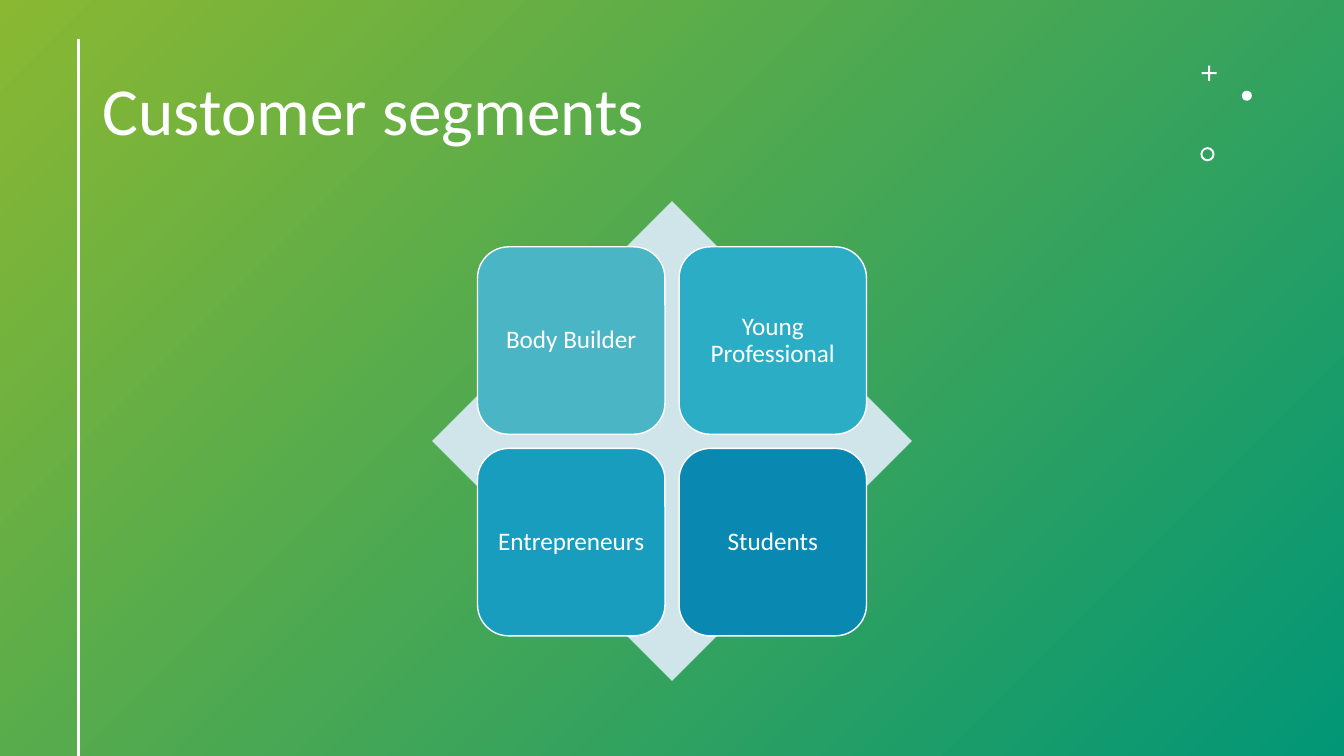
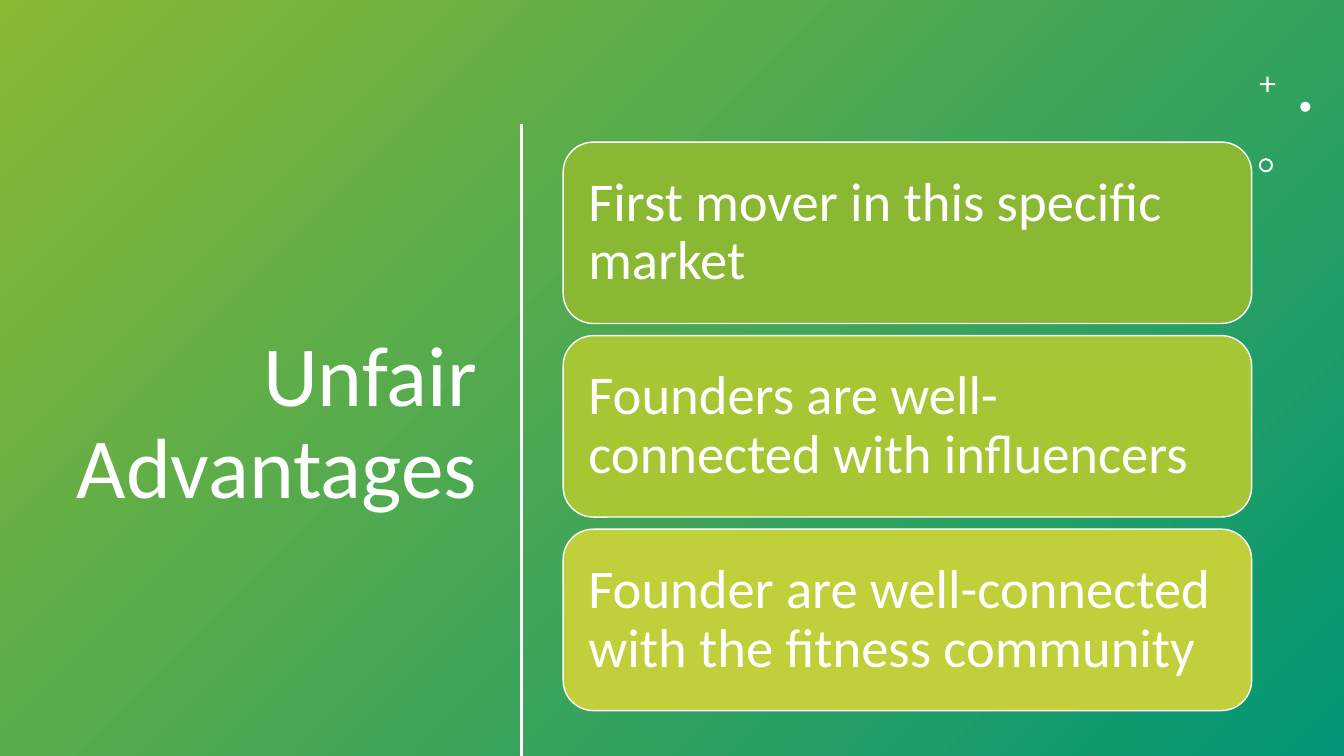
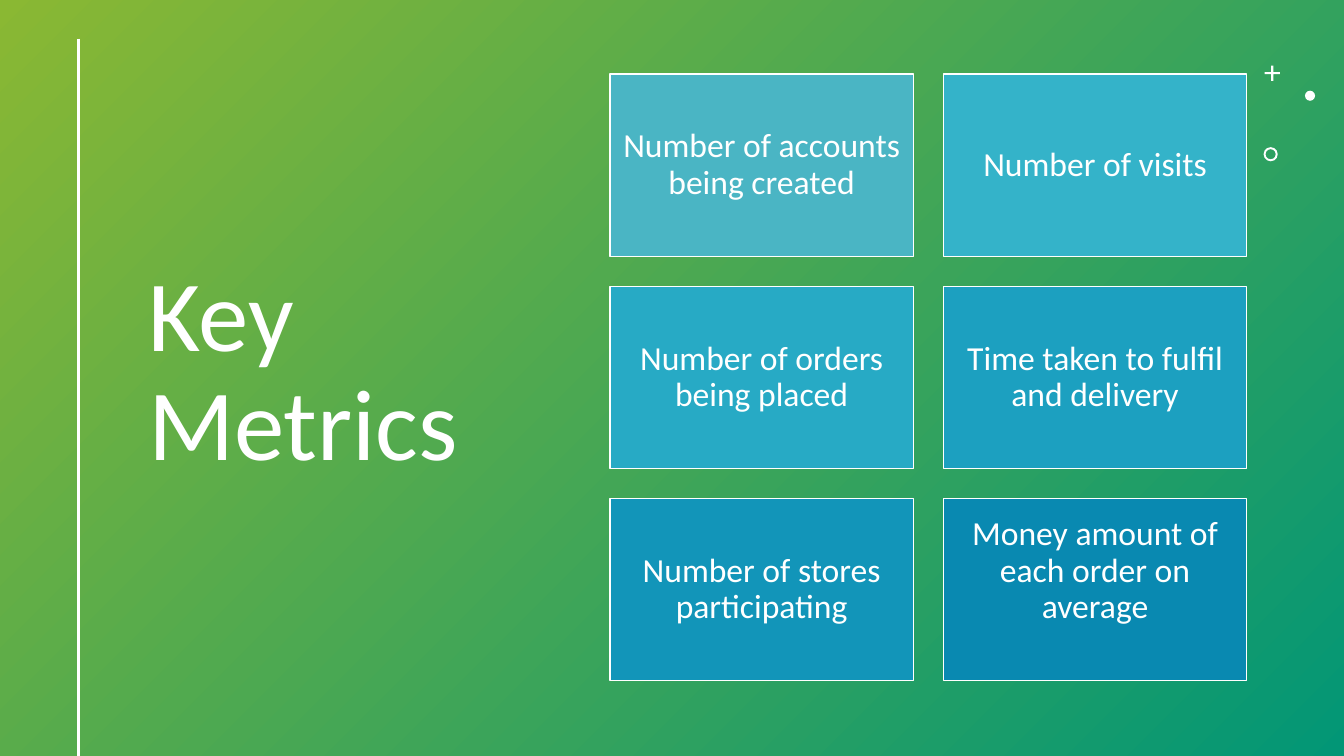
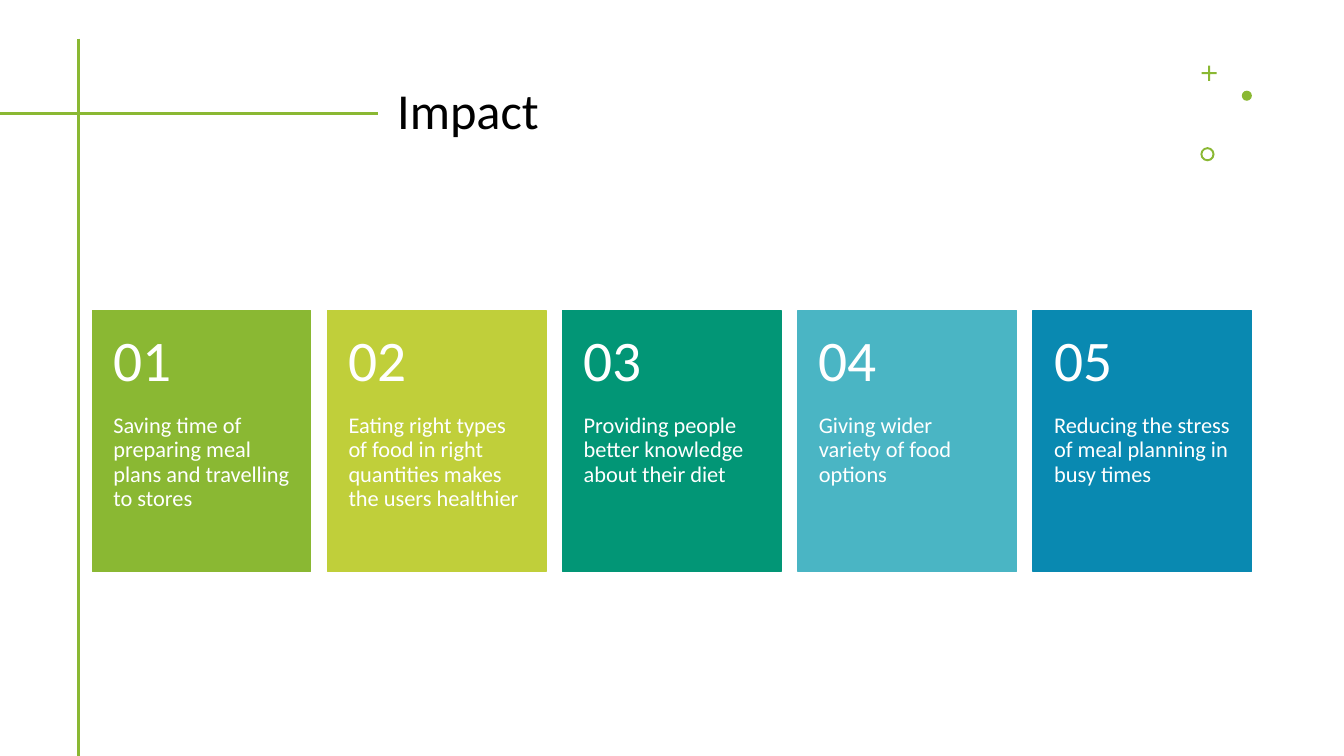
from lxml.etree import SubElement
from pptx import Presentation
from pptx.dml.color import RGBColor
from pptx.enum.shapes import MSO_CONNECTOR, MSO_SHAPE
from pptx.enum.text import MSO_ANCHOR, MSO_AUTO_SIZE, PP_ALIGN
from pptx.oxml.ns import qn
from pptx.util import Inches, Pt

WHITE = RGBColor(0xFF, 0xFF, 0xFF)
BLACK = RGBColor(0x00, 0x00, 0x00)
GREEN = RGBColor(0x8A, 0xB8, 0x33)
GRASS = RGBColor(0xA6, 0xC6, 0x34)
LIME = RGBColor(0xC0, 0xCF, 0x3A)
TEAL = RGBColor(0x02, 0x96, 0x76)
MIST = RGBColor(0xD0, 0xE5, 0xEA)
# Blues from light to dark
AQUA = RGBColor(0x4A, 0xB5, 0xC4)
SKY = RGBColor(0x34, 0xB3, 0xC9)
CYAN = RGBColor(0x2C, 0xAD, 0xC6)
LAGOON = RGBColor(0x27, 0xAA, 0xC5)
POOL = RGBColor(0x1C, 0xA0, 0xC0)
LAKE = RGBColor(0x18, 0x9D, 0xBE)
SEA = RGBColor(0x12, 0x95, 0xB9)
OCEAN = RGBColor(0x09, 0x89, 0xB1)

FONT = "Calibri"
ASPECT = 16 / 9  # turns a share of the width into the same length down the slide
TITLE_ONLY = 5


class Deck:
    """Style and current slide; lengths are percent of the slide's width or height."""

    def __init__(self):
        self.prs = Presentation()
        self.prs.slide_width, self.prs.slide_height = Inches(13.333), Inches(7.5)
        self.s = None
        self.accent = WHITE

    def x(self, share):
        return round(self.prs.slide_width * share / 100)

    def y(self, share):
        return round(self.prs.slide_height * share / 100)

    def box(self, left, top, width, height):
        return self.x(left), self.y(top), self.x(width), self.y(height)

    def slide(self, gradient=True):
        self.s = self.prs.slides.add_slide(self.prs.slide_layouts[TITLE_ONLY])
        self.accent = WHITE if gradient else GREEN
        fill = self.s.background.fill
        if not gradient:
            fill.solid()
            fill.fore_color.rgb = WHITE
            return
        fill.gradient()
        fill.gradient_angle = 315
        for stop, position, colour in zip(fill.gradient_stops, (0, 1), (GREEN, TEAL)):
            stop.position = position
            stop.color.rgb = colour

    def set_text(self, p, text, size, colour=WHITE, align=PP_ALIGN.LEFT):
        p.text = text
        p.alignment = align
        p.line_spacing = 0.9
        for r in p.runs:
            r.font.name, r.font.size, r.font.color.rgb = FONT, Pt(size), colour

    def title(self, text, size, left, top, width, height,
              colour=WHITE, align=PP_ALIGN.LEFT):
        sp = self.s.shapes.title
        sp.left, sp.top, sp.width, sp.height = self.box(left, top, width, height)
        tf = sp.text_frame
        tf.auto_size, tf.word_wrap = MSO_AUTO_SIZE.NONE, True
        tf.vertical_anchor = MSO_ANCHOR.MIDDLE
        self.set_text(tf.paragraphs[0], text, size, colour, align)

    def rule(self, x1, y1, x2, y2):
        line = self.s.shapes.add_connector(
            MSO_CONNECTOR.STRAIGHT, self.x(x1), self.y(y1), self.x(x2), self.y(y2))
        line.line.color.rgb, line.line.width = self.accent, Pt(2)
        SubElement(line._element.spPr, qn("a:effectLst"))

    def side_rule(self, left=5.85, top=5.1):
        self.rule(left, top, left, 100)

    def shape(self, kind, left, top, width, height, fill, outline=None):
        sp = self.s.shapes.add_shape(kind, *self.box(left, top, width, height))
        sp.shadow.inherit = False
        sp.fill.solid()
        sp.fill.fore_color.rgb = fill
        if outline is None:
            sp.line.fill.background()
        else:
            sp.line.color.rgb, sp.line.width = outline, Pt(1)
        return sp

    def ornament(self, left, top=8.67):
        """Plus, dot and ring in the upper right corner."""
        for kind, dx, dy, size, adjust in (
                (MSO_SHAPE.CROSS, 0, 0, 1.13, 0.43),
                (MSO_SHAPE.OVAL, 3, 3.33, 0.75, None),
                (MSO_SHAPE.DONUT, -0.08, 10.8, 1.05, 0.14)):
            sp = self.shape(kind, left + dx, top + dy, size, size * ASPECT, self.accent)
            if adjust:
                sp.adjustments[0] = adjust

    def card(self, kind, place, text, fill, size, inset, align, number=None):
        sp = self.shape(kind, *place, fill, fill if number else WHITE)
        tf = sp.text_frame
        tf.word_wrap = True
        tf.margin_left = tf.margin_right = tf.margin_top = tf.margin_bottom = Pt(inset)
        tf.vertical_anchor = MSO_ANCHOR.TOP if number else MSO_ANCHOR.MIDDLE
        p = tf.paragraphs[0]
        if number:
            self.set_text(p, number, 41)
            p.space_after = Pt(15)
            p = tf.add_paragraph()
        self.set_text(p, text, size, align=align)
        return sp

    def cards(self, items, columns, left, top, width, height, gap, size, inset,
              kind=MSO_SHAPE.RECTANGLE, align=PP_ALIGN.CENTER, numbered=False):
        """Lay out (text, fill) items row by row with equal gaps."""
        made = []
        for i, (text, fill) in enumerate(items):
            row, col = divmod(i, columns)
            place = (left + col * (width + gap),
                     top + row * (height + gap * ASPECT), width, height)
            number = f"{i + 1:02}" if numbered else None
            made.append(self.card(kind, place, text, fill, size, inset, align, number))
        return made


def main():
    deck = Deck()

    # Customer segments: four cards over a diamond
    deck.slide()
    deck.title("Customer segments", 48, 6.9, 5.33, 80.4, 19.33)
    deck.side_rule()
    deck.ornament(89.4)
    deck.shape(MSO_SHAPE.DIAMOND, 32.15, 26.6, 35.7, 63.47, MIST)
    deck.cards([("Body Builder", AQUA), ("Young Professional", CYAN),
                ("Entrepreneurs", LAKE), ("Students", OCEAN)],
               2, 35.53, 32.65, 13.95, 24.8, 1.05, 18, 5,
               kind=MSO_SHAPE.ROUNDED_RECTANGLE)

    # Unfair advantages: three stacked cards
    deck.slide()
    deck.title("Unfair Advantages", 61, 3.9, 15.47, 32.33, 81.47, align=PP_ALIGN.RIGHT)
    deck.side_rule(38.8, 16.4)
    deck.ornament(93.75, 10.13)
    deck.cards([("First mover in this specific market", GREEN),
                ("Founders are well-connected with influencers", GRASS),
                ("Founder are well-connected with the fitness community", LIME)],
               1, 41.9, 18.8, 51.23, 24, 0.9, 39, 11.7,
               kind=MSO_SHAPE.ROUNDED_RECTANGLE, align=PP_ALIGN.LEFT)

    # Key metrics: two columns of cards
    deck.slide()
    deck.title("Key Metrics", 72, 10.28, 8.67, 32.33, 81.47)
    deck.side_rule()
    deck.ornament(94.1)
    metrics = deck.cards([("Number of accounts being created", AQUA),
                          ("Number of visits", SKY),
                          ("Number of orders being placed", LAGOON),
                          ("Time taken to fulfil and delivery", POOL),
                          ("Number of stores participating", SEA),
                          ("Money amount of each order on average", OCEAN)],
                         2, 45.38, 9.8, 22.58, 24.1, 2.23, 24, 7.2)
    metrics[-1].text_frame.margin_bottom = Pt(33.5)  # lifts the text by half a line

    # Impact: five numbered cards
    deck.slide(gradient=False)
    deck.title("Impact", 36, 28.8, 5.33, 58.73, 19.33, colour=BLACK)
    deck.side_rule()
    deck.rule(0, 15, 28.15, 15)
    deck.ornament(89.4)
    deck.cards([("Saving time of preparing meal plans and travelling to stores", GREEN),
                ("Eating right types of food in right quantities makes the users healthier",
                 LIME),
                ("Providing people better knowledge about their diet", TEAL),
                ("Giving wider variety of food options", AQUA),
                ("Reducing the stress of meal planning in busy times", OCEAN)],
               5, 6.87, 41.07, 16.25, 34.55, 1.25, 16, 15,
               align=PP_ALIGN.LEFT, numbered=True)

    deck.prs.save("out.pptx")


if __name__ == "__main__":
    main()
